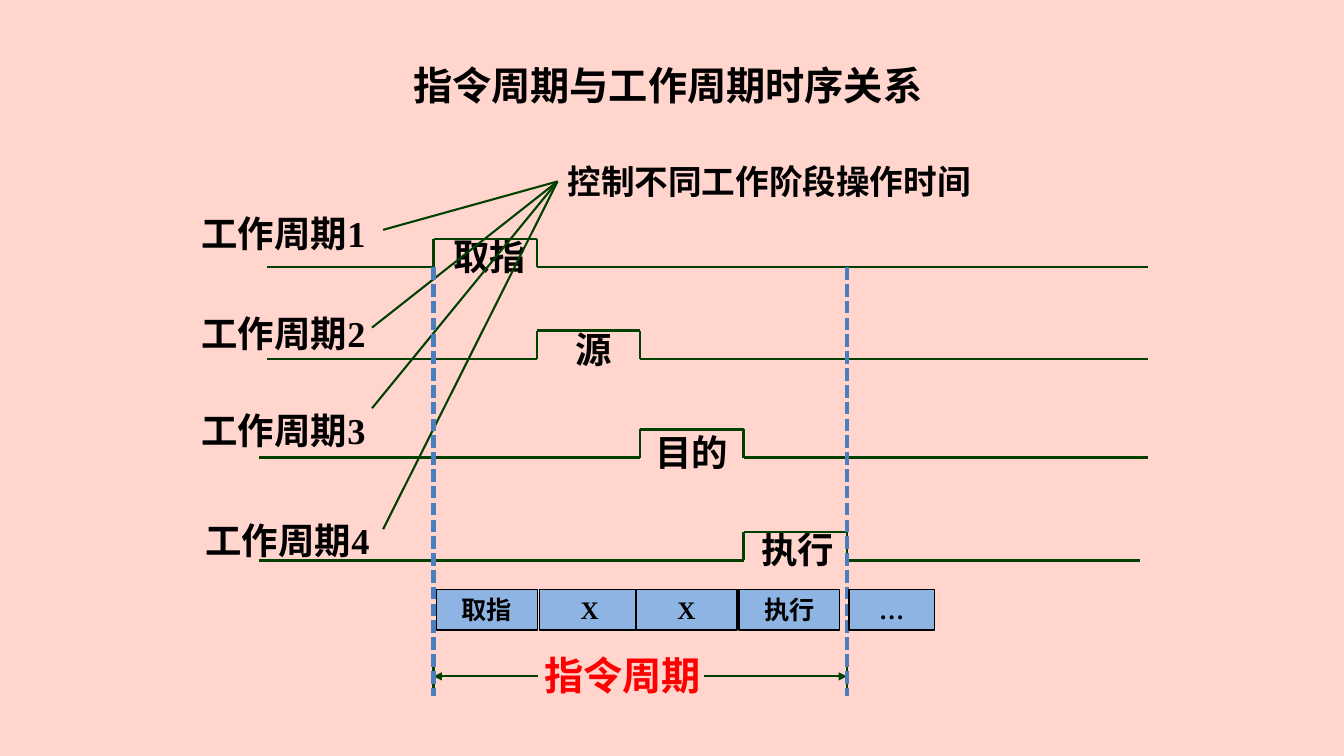
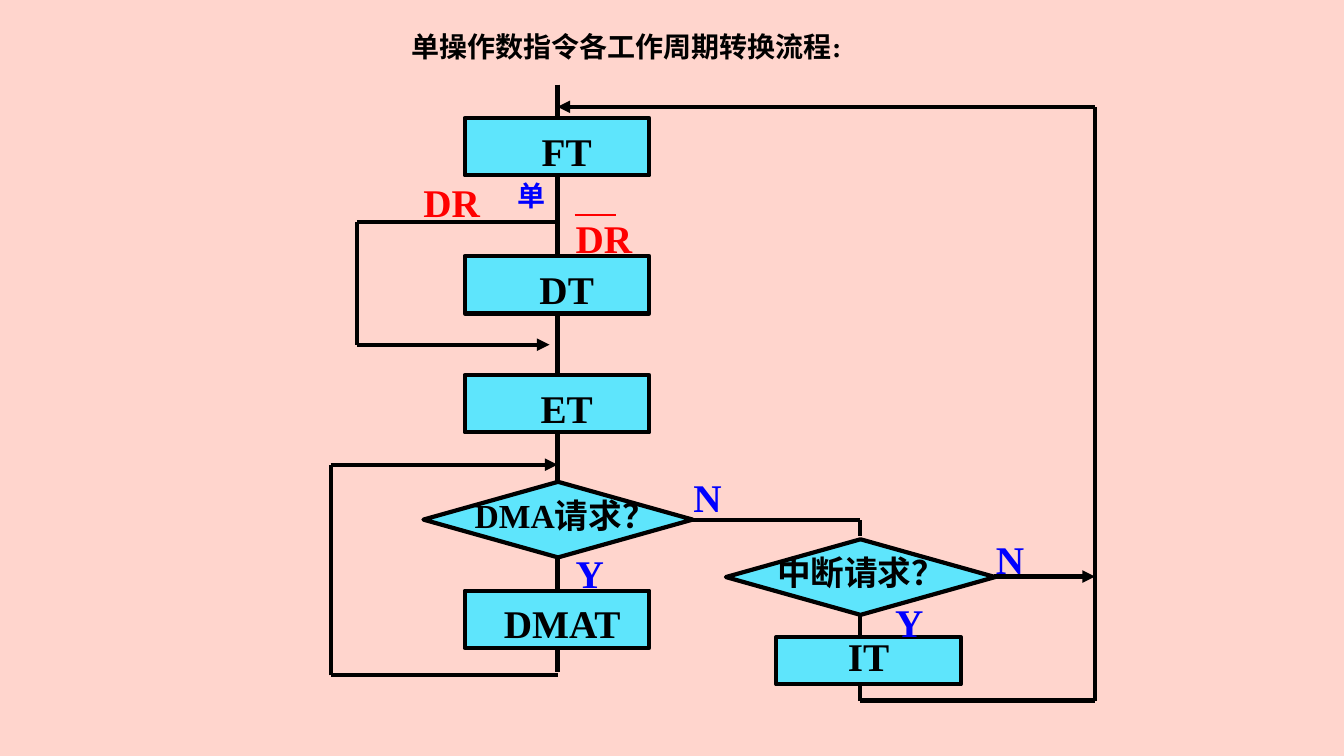
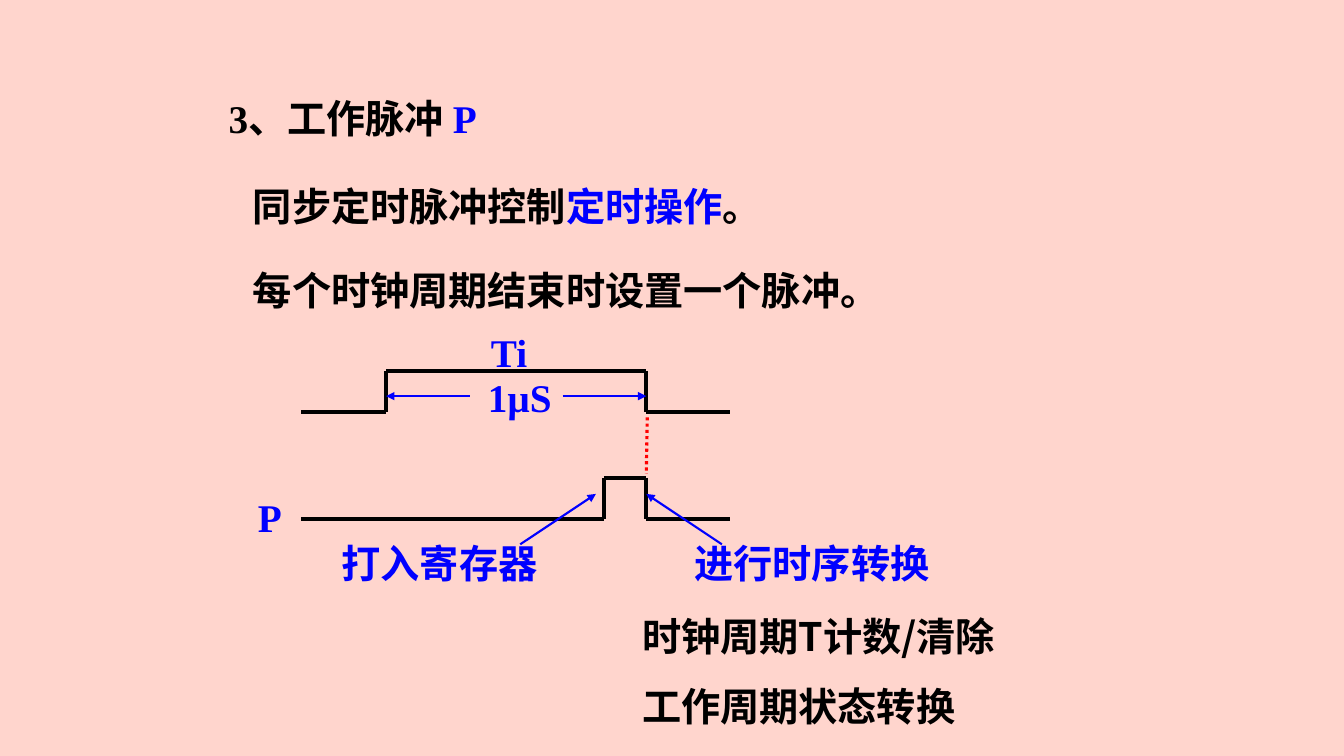
from itertools import pairwise

from lxml import etree
from pptx import Presentation
from pptx.dml.color import RGBColor
from pptx.enum.dml import MSO_LINE
from pptx.enum.shapes import MSO_CONNECTOR, MSO_SHAPE
from pptx.enum.text import MSO_ANCHOR, MSO_AUTO_SIZE, PP_ALIGN
from pptx.oxml.ns import qn
from pptx.util import Inches, Pt

STRAIGHT = MSO_CONNECTOR.STRAIGHT
RECTANGLE = MSO_SHAPE.RECTANGLE
DECISION = MSO_SHAPE.FLOWCHART_DECISION
DASH, DOT = MSO_LINE.SQUARE_DOT, MSO_LINE.ROUND_DOT
TOP, MIDDLE, BOTTOM = MSO_ANCHOR.TOP, MSO_ANCHOR.MIDDLE, MSO_ANCHOR.BOTTOM
LEFT, CENTER = PP_ALIGN.LEFT, PP_ALIGN.CENTER
GROW = MSO_AUTO_SIZE.SHAPE_TO_FIT_TEXT
FIXED = MSO_AUTO_SIZE.NONE

SERIF, SANS = "Times New Roman", "Noto Sans CJK SC"
PINK, BLACK, RED, BLUE = "FFD5CD", "000000", "FF0000", "0000FF"
GREEN, STEEL, SKY, CYAN = "004000", "4B7EBC", "8EB4E3", "5EE5FC"
LATIN_INSET = 0.09


def color(value):
    return RGBColor.from_string(value)


def write(frame, text, size=28, ink=BLACK, font=SERIF, align=LEFT,
          anchor=TOP, left=0.1, top=0.05, fit=GROW, wrap=True):
    frame.word_wrap = wrap
    frame.auto_size = fit
    frame.vertical_anchor = anchor
    frame.margin_left, frame.margin_top = Inches(left), Inches(top)
    para = frame.paragraphs[0]
    para.alignment = align
    for words, shade in [(text, ink)] if isinstance(text, str) else text:
        span = para.add_run()
        span.text = words
        span.font.size, span.font.bold, span.font.name = Pt(size), True, font
        span.font.color.rgb = color(shade)
        east = etree.SubElement(span.font._element, qn("a:ea"))
        east.set("typeface", SANS)


def label(page, text, x, y, width, height=0.57, **style):
    box = page.shapes.add_textbox(Inches(x), Inches(y), Inches(width), Inches(height))
    write(box.text_frame, text, **style)


def line(page, start, end, ink=BLACK, weight=3, dash=None, head=False, tail=False):
    link = page.shapes.add_connector(STRAIGHT, *map(Inches, (*start, *end)))
    link.line.color.rgb = color(ink)
    link.line.width = Pt(weight)
    if dash:
        link.line.dash_style = dash
    stroke = link.line._get_or_add_ln()
    for tag, wanted in (("a:headEnd", head), ("a:tailEnd", tail)):
        if wanted:
            etree.SubElement(stroke, qn(tag)).set("type", "triangle")
    etree.SubElement(link._element.spPr, qn("a:effectLst"))


def route(page, points, tail=False, **style):
    legs = list(pairwise(points))
    for start, end in legs:
        line(page, start, end, tail=tail and end == points[-1], **style)


def block(page, kind, x, y, width, height, fill=CYAN, weight=3, text="", **style):
    shape = page.shapes.add_shape(kind, *map(Inches, (x, y, width, height)))
    shape.shadow.inherit = False
    shape.fill.solid()
    shape.fill.fore_color.rgb = color(fill)
    shape.line.color.rgb = color(BLACK)
    shape.line.width = Pt(weight)
    if text:
        write(shape.text_frame, text, align=CENTER, **style)


def pulse(page, start, rise, fall, end, base, height, **style):
    route(page, [(start, base), (rise, base), (rise, base - height),
                 (fall, base - height), (fall, base), (end, base)], **style)


def cycle_span(page, left, right, y):
    label(page, "指令周期", left + 1, y - 0.3, 2.17, 0.53, ink=RED)
    for x in (left, right):
        line(page, (x, y + 0.16), (x, y - 0.18), ink=GREEN, weight=1.5)
    line(page, (left, y), (left + 1.04, y), ink=GREEN, weight=1.5, head=True)
    line(page, (right - 1.42, y), (right, y), ink=GREEN, weight=1.5, tail=True)


def cycle_waves(page, left, step):
    rows = [
        ("取指", 2.65, 2.65, 11.39, 1.9, 2.05, 4.4, 2.27),
        ("源", 3.56, 2.65, 11.39, 1.9, 3.04, 5.61, 3.2),
        ("目的", 4.54, 2.57, 11.39, 1.9, 4, 6.4, 4.22),
        ("执行", 5.56, 2.57, 11.31, 1.94, 5.09, 7.45, 5.18),
    ]
    for index, (stage, base, start, end, name_x, name_y, x, y) in enumerate(rows):
        rise = left + index * step
        label(page, stage, x, y, 1.05, 0.49, size=26)
        label(page, f"工作周期{index + 1}", name_x, name_y, 2.83, 0.49, size=26)
        pulse(page, start, rise, rise + step, end, base, 0.28, ink=GREEN, weight=1.75)


def cycle_note(page, x, y):
    label(page, "控制不同工作阶段操作时间", x, y - 0.25, 4.33, 0.5, size=24)
    for target in ((3.69, 4.05), (3.8, 5.25), (3.8, 2.28), (3.69, 3.25)):
        line(page, (x, y), target, ink=GREEN, weight=1.5)


def stage_strip(page, left, y):
    cells = [("取指", 0, 1), ("X", 1.02, 1), ("X", 1.98, 1), ("执行", 3, 1), ("…", 4.09, 0.85)]
    for text, shift, width in cells:
        block(page, RECTANGLE, left + shift, y, width, 0.4, fill=SKY, weight=1,
              text=text, size=18, anchor=MIDDLE, fit=FIXED)


def timing_slide(page):
    left, step = 4.3, 1.025
    right = left + 4 * step
    cycle_span(page, left, right, 6.71)
    label(page, "指令周期与工作周期时序关系", 4, 0.56, 5.26, 0.53, font=SANS, wrap=False)
    cycle_waves(page, left, step)
    cycle_note(page, 5.53, 1.8)
    for x in (left, right):
        line(page, (x, 2.65), (x, 6.9), ink=STEEL, dash=DASH)
    stage_strip(page, left + 0.03, 5.85)


def main_column(page, axis):
    for start, end in ((0.84, 1.17), (1.73, 2.54), (3.13, 3.73), (4.28, 4.77),
                       (5.53, 5.86), (6.44, 6.67)):
        line(page, (axis, start), (axis, end))
    for text, y, indent in (("FT", 1.17, 0.29), ("DT", 2.54, 0.29),
                            ("ET", 3.72, 0.29), ("DMAT", 5.86, 0.2)):
        block(page, RECTANGLE, axis - 0.92, y, 1.83, 0.57, text=text,
              left=indent, top=LATIN_INSET, fit=FIXED)


def decision(page, text, x, y):
    block(page, DECISION, x, y, 2.67, 0.75)
    label(page, text, x + 0.41, y + 0.08, 2.17, 0.51, size=24)


def interrupt_branch(page, axis):
    route(page, [(6.78, 5.16), (axis, 5.16), (axis, 5.32)])
    decision(page, "中断请求？", axis - 1.33, 5.35)
    line(page, (axis, 6.1), (axis, 6.32))
    block(page, RECTANGLE, axis - 0.83, 6.32, 1.83, 0.47, text="IT", anchor=BOTTOM, fit=FIXED)
    line(page, (axis + 1.33, 5.72), (10.86, 5.72), tail=True)
    route(page, [(axis, 6.78), (axis, 6.95), (10.86, 6.95), (10.86, 1.06), (5.53, 1.06)], tail=True)


def flow_slide(page):
    axis = 5.53
    label(page, "单操作数指令各工作周期转换流程:", 3.98, 0.24, 5.38, 0.44, size=20)
    main_column(page, axis)
    decision(page, "DMA请求？", axis - 1.33, 4.78)
    interrupt_branch(page, 8.53)
    route(page, [(axis, 2.2), (3.54, 2.2), (3.54, 3.42), (5.45, 3.42)], tail=True)
    route(page, [(axis, 6.7), (3.28, 6.7), (3.28, 4.61), (axis, 4.61)], tail=True)
    label(page, "单", 5.03, 1.72, 1, 0.44, size=20, ink=BLUE)
    line(page, (5.7, 2.13), (6.11, 2.13), ink=RED, weight=1.5)
    for text, x, y, ink in (("DR", 4.1, 1.68, RED), ("DR", 5.61, 2.04, RED),
                            ("Y", 5.61, 5.36, BLUE), ("N", 6.78, 4.61, BLUE),
                            ("Y", 8.78, 5.85, BLUE), ("N", 9.78, 5.22, BLUE)):
        label(page, text, x, y, 1, ink=ink, top=LATIN_INSET)


def pulse_text(page, left, top):
    label(page, [("3、工作脉冲 ", BLACK), ("P", BLUE)], left, top, 5.17)
    label(page, [("同步定时脉冲控制", BLACK), ("定时操作", BLUE), ("。", BLACK)],
          left + 0.24, top + 0.87, 8.08)
    label(page, "每个时钟周期结束时设置一个脉冲。", left + 0.24, top + 1.7, 8.08)


def pulse_chart(page, start, end):
    rise, fall = 3.83, 6.41
    pulse(page, start, rise, fall, end, 4.09, 0.41)
    pulse(page, start, 5.99, fall, end, 5.15, 0.41)
    for edge, inner in ((rise, 4.66), (fall, 5.58)):
        line(page, (inner, 3.93), (edge, 3.93), ink=BLUE, weight=1, tail=True)
    line(page, (6.42, 4.14), (fall, 4.7), ink=RED, weight=2.25, dash=DOT)
    for tip, foot in ((5.91, 5.16), (fall, 7.16)):
        line(page, (tip, 4.9), (foot, 5.4), ink=BLUE, weight=1.5, head=True)
    for text, x, y in (("Ti", 4.77, 3.17), ("1µS", 4.74, 3.61), ("P", 2.46, 4.8)):
        label(page, text, x, y, 1.25, ink=BLUE, top=LATIN_INSET)
    for text, x in (("打入寄存器", 3.29), ("进行时序转换", 6.79)):
        label(page, text, x, 5.3, 3, ink=BLUE)


def pulse_slide(page):
    pulse_text(page, 2.17, 0.89)
    pulse_chart(page, 2.99, 7.24)
    label(page, "时钟周期T计数/清除", 6.27, 6.03, 5.2, font=SANS)
    label(page, "工作周期状态转换", 6.27, 6.72, 5.7)


def main():
    deck = Presentation()
    deck.slide_width, deck.slide_height = Inches(13.33), Inches(7.5)
    backdrop = deck.slide_master.background.fill
    backdrop.solid()
    backdrop.fore_color.rgb = color(PINK)
    for build in (timing_slide, flow_slide, pulse_slide):
        build(deck.slides.add_slide(deck.slide_layouts[6]))
    deck.save("out.pptx")


if __name__ == "__main__":
    main()
